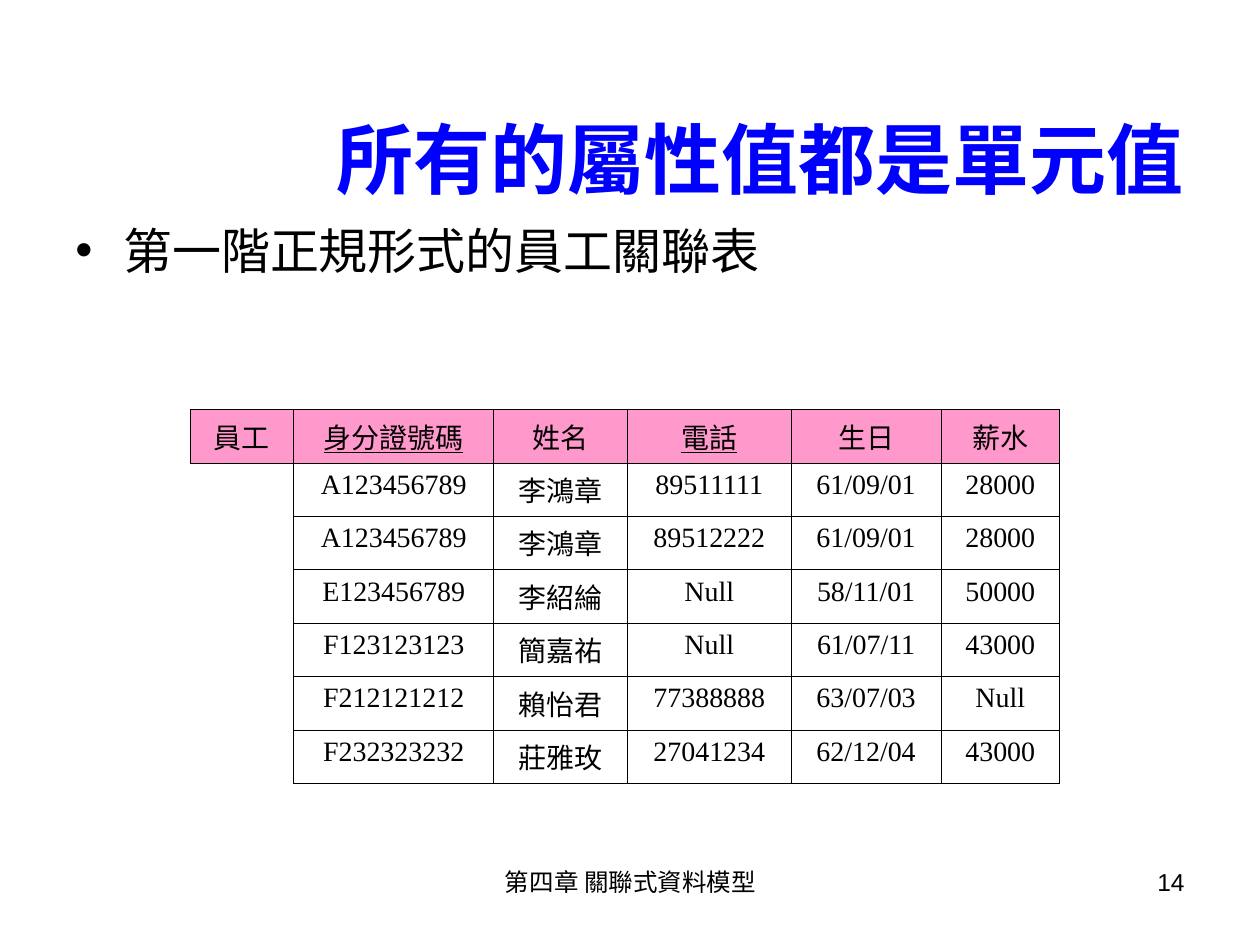
from dataclasses import dataclass

from lxml.etree import SubElement
from pptx import Presentation
from pptx.dml.color import RGBColor
from pptx.enum.text import MSO_ANCHOR as Anchor, PP_ALIGN as Align
from pptx.oxml.ns import qn
from pptx.util import Inches, Pt

TITLE = "所有的屬性值都是單元值"
BULLET = "第一階正規形式的員工關聯表"
FOOTER = "第四章 關聯式資料模型"
PAGE = "14"

RELATION = "員工"
ATTRIBUTES = ("身分證號碼", "姓名", "電話", "生日", "薪水")
KEYS = ("身分證號碼", "電話")
EMPLOYEES = [
    ("A123456789", "李鴻章", "89511111", "61/09/01", "28000"),
    ("A123456789", "李鴻章", "89512222", "61/09/01", "28000"),
    ("E123456789", "李紹綸", "Null", "58/11/01", "50000"),
    ("F123123123", "簡嘉祐", "Null", "61/07/11", "43000"),
    ("F212121212", "賴怡君", "77388888", "63/07/03", "Null"),
    ("F232323232", "莊雅玫", "27041234", "62/12/04", "43000"),
]
COLUMNS = (0.82, 1.59, 1.06, 1.3, 1.19, 0.94)
TABLE_LEFT, TABLE_TOP, TABLE_HEIGHT = 1.51, 3.25, 2.97
MARGIN, CONTENT_WIDTH = 0.5, 9
FOOTER_TOP, FOOTER_HEIGHT = 6.83, 0.52
HANGING = 0.38


@dataclass(frozen=True)
class Theme:
    sans: str = "Arial"
    serif: str = "Times New Roman"
    ink: str = "000000"
    title: str = "0000FF"
    header: str = "FF99CC"
    paper: str = "FFFFFF"
    title_size: int = 44
    body_size: int = 28
    cell_size: int = 16
    footer_size: int = 14
    border: float = 0.45


THEME = Theme()


def style(paragraph, face, size, color=THEME.ink, align=Align.LEFT):
    paragraph.alignment = align
    font = paragraph.font
    font.name, font.size = face, Pt(size)
    font.color.rgb = RGBColor.from_string(color)


def add_text(slide, box, text, size, color=THEME.ink, align=Align.LEFT):
    frame = slide.shapes.add_textbox(*map(Inches, box)).text_frame
    frame.word_wrap = True
    frame.text = text
    style(frame.paragraphs[0], THEME.sans, size, color, align)
    return frame


def add_bullet(paragraph):
    properties = paragraph._p.get_or_add_pPr()
    properties.set("marL", str(Inches(HANGING)))
    properties.set("indent", str(-Inches(HANGING)))
    color = SubElement(properties, qn("a:buClr"))
    SubElement(color, qn("a:srgbClr"), val=THEME.ink)
    SubElement(properties, qn("a:buFont"), typeface=THEME.sans)
    SubElement(properties, qn("a:buChar"), char="•")


def set_borders(cell, visible):
    """Draw the sides named in visible (letters of LRTB) and hide the others."""
    properties = cell._tc.get_or_add_tcPr()
    for side in "LRTB":
        line = SubElement(properties, qn(f"a:ln{side}"), w=str(Pt(THEME.border)))
        if side in visible:
            fill = SubElement(line, qn("a:solidFill"))
            SubElement(fill, qn("a:srgbClr"), val=THEME.ink)
        else:
            SubElement(line, qn("a:noFill"))


def fill_cell(cell, text, color):
    set_borders(cell, "LRTB")
    cell.fill.solid()
    cell.fill.fore_color.rgb = RGBColor.from_string(color)
    cell.text = text
    paragraph = cell.text_frame.paragraphs[0]
    style(paragraph, THEME.serif, THEME.cell_size, align=Align.CENTER)
    if text in KEYS:
        paragraph.font.underline = True


def clear_cell(cell, below_header):
    set_borders(cell, "RT" if below_header else "R")
    cell.fill.background()
    cell.text_frame.paragraphs[0].font.size = Pt(THEME.cell_size)


def add_relation(slide):
    rows = [(RELATION, *ATTRIBUTES)] + [("", *employee) for employee in EMPLOYEES]
    box = (TABLE_LEFT, TABLE_TOP, sum(COLUMNS), TABLE_HEIGHT)
    table = slide.shapes.add_table(len(rows), len(COLUMNS), *map(Inches, box)).table
    table.first_row = table.horz_banding = False
    for column, width in zip(table.columns, COLUMNS):
        column.width = Inches(width)
    for r, row in enumerate(rows):
        table.rows[r].height = Inches(TABLE_HEIGHT / len(rows))
        for c, text in enumerate(row):
            if text:
                fill_cell(table.cell(r, c), text, THEME.paper if r else THEME.header)
            else:
                clear_cell(table.cell(r, c), below_header=r == 1)


def main():
    deck = Presentation()
    deck.slide_width, deck.slide_height = Inches(10), Inches(7.5)
    slide = deck.slides.add_slide(deck.slide_layouts[6])

    add_text(slide, (3.42, FOOTER_TOP, 3.17, FOOTER_HEIGHT), FOOTER,
             THEME.footer_size, align=Align.CENTER)
    add_text(slide, (7.17, FOOTER_TOP, 2.33, FOOTER_HEIGHT), PAGE,
             THEME.footer_size, align=Align.RIGHT)

    title = add_text(slide, (MARGIN, 0.92, CONTENT_WIDTH, 0.67), TITLE,
                     THEME.title_size, THEME.title, Align.RIGHT)
    title.vertical_anchor = Anchor.MIDDLE
    title.paragraphs[0].font.bold = True

    body = add_text(slide, (MARGIN, 1.75, CONTENT_WIDTH, 5.42), BULLET, THEME.body_size)
    body.margin_top = 0
    # Bullet elements have to precede the font properties of the paragraph.
    bullet = body.paragraphs[0]
    bullet._p.remove(bullet._p.pPr)
    add_bullet(bullet)
    style(bullet, THEME.sans, THEME.body_size)

    add_relation(slide)
    deck.save("out.pptx")


if __name__ == "__main__":
    main()
